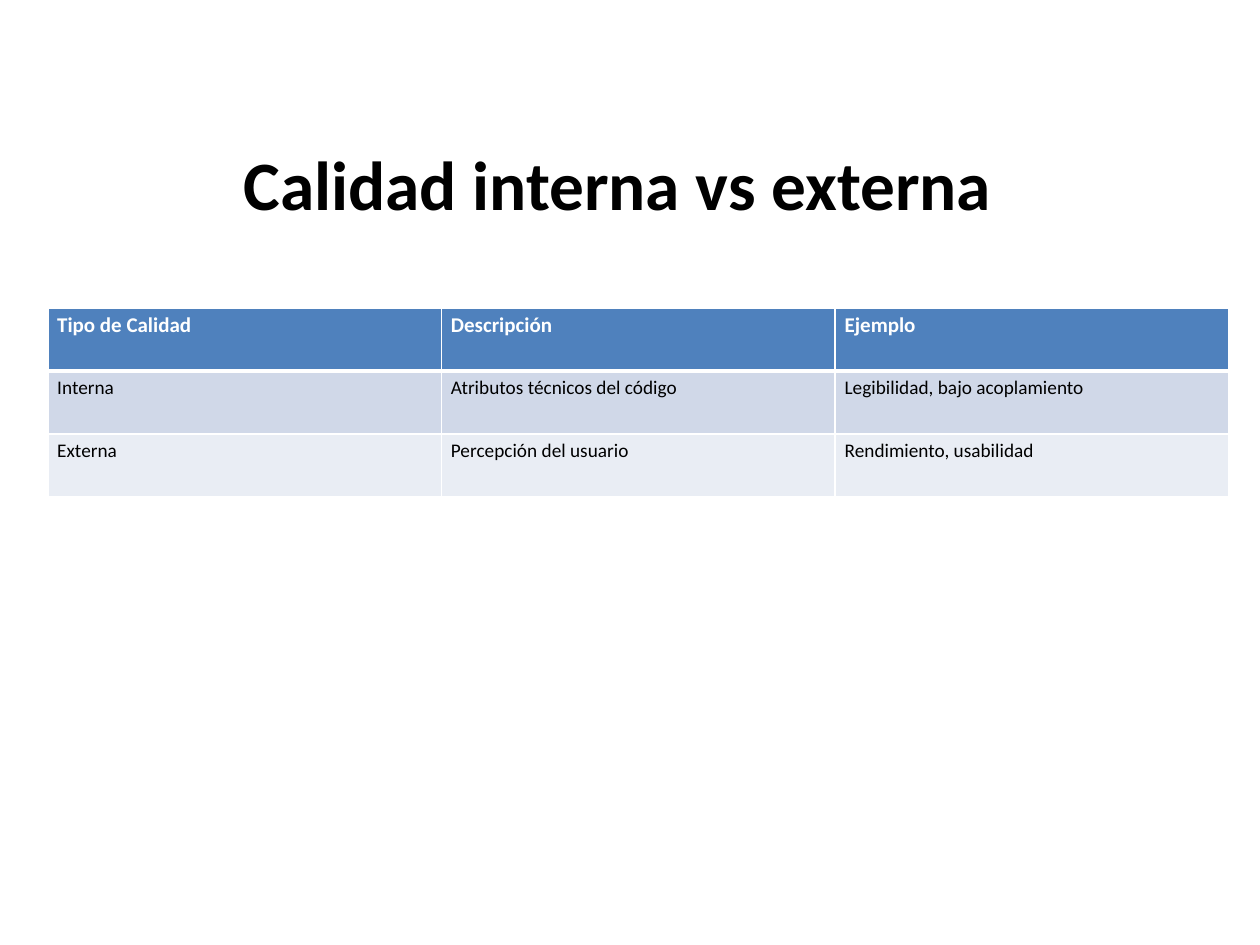
"""Build a slide that compares internal and external quality in a table."""
from dataclasses import dataclass

from lxml import etree
from pptx import Presentation
from pptx.dml.color import RGBColor
from pptx.enum.text import MSO_ANCHOR, MSO_AUTO_SIZE, PP_ALIGN
from pptx.oxml.ns import qn
from pptx.util import Pt

CENTER = PP_ALIGN.CENTER
MIDDLE = MSO_ANCHOR.MIDDLE
NO_AUTOFIT = MSO_AUTO_SIZE.NONE
TITLE_ONLY = 5


@dataclass(frozen=True)
class Theme:
    font: str = "Calibri"
    title_size: float = 39.6
    header_size: float = 12
    body_size: float = 11
    ink: str = "000000"
    white: str = "FFFFFF"
    header_fill: str = "4F81BD"
    row_fills: tuple = ("D0D8E8", "E9EDF4")
    rule: float = 1
    header_rule: float = 3


class SlideBuilder:
    def __init__(self, deck, theme):
        self.theme = theme
        self.slide = deck.slides.add_slide(deck.slide_layouts[TITLE_ONLY])

    def add_run(self, para, text, size, color, bold):
        span = para.add_run()
        span.text = text
        span.font.name = self.theme.font
        span.font.size = Pt(size)
        span.font.bold = bold
        span.font.color.rgb = RGBColor.from_string(color)

    def add_title(self, text, left, top, width, height):
        box = self.slide.shapes.title
        box.left, box.top, box.width, box.height = map(Pt, (left, top, width, height))
        frame = box.text_frame
        frame.auto_size = NO_AUTOFIT
        frame.word_wrap = True
        frame.vertical_anchor = MIDDLE
        para = frame.paragraphs[0]
        para.alignment = CENTER
        self.add_run(para, text, self.theme.title_size, self.theme.ink, True)

    def set_borders(self, cell, top, bottom):
        properties = cell._tc.get_or_add_tcPr()
        widths = {"L": self.theme.rule, "R": self.theme.rule, "T": top, "B": bottom}
        for side, width in widths.items():
            line = etree.SubElement(properties, qn(f"a:ln{side}"), w=str(Pt(width)))
            fill = etree.SubElement(line, qn("a:solidFill"))
            etree.SubElement(fill, qn("a:srgbClr"), val=self.theme.white)

    def fill_cell(self, cell, text, row):
        theme = self.theme
        header = row == 0
        cell.margin_left = cell.margin_right = Pt(5.4)
        cell.margin_top = cell.margin_bottom = Pt(2.7)
        self.set_borders(
            cell,
            top=theme.header_rule if row == 1 else theme.rule,
            bottom=theme.header_rule if header else theme.rule,
        )
        color = theme.header_fill if header else theme.row_fills[(row - 1) % 2]
        cell.fill.solid()
        cell.fill.fore_color.rgb = RGBColor.from_string(color)
        self.add_run(
            cell.text_frame.paragraphs[0],
            text,
            theme.header_size if header else theme.body_size,
            theme.white if header else theme.ink,
            header,
        )

    def add_table(self, rows, left, top, width, height):
        frame = self.slide.shapes.add_table(
            len(rows), len(rows[0]), Pt(left), Pt(top), Pt(width), Pt(height)
        )
        for row, texts in enumerate(rows):
            for column, text in enumerate(texts):
                self.fill_cell(frame.table.cell(row, column), text, row)


def main():
    deck = Presentation()
    deck.slide_width, deck.slide_height = Pt(720), Pt(540)
    page = SlideBuilder(deck, Theme())
    page.add_title("Calidad interna vs externa", 110, 70.5, 486, 67.5)
    quality_rows = [
        ("Tipo de Calidad", "Descripción", "Ejemplo"),
        ("Interna", "Atributos técnicos del código", "Legibilidad, bajo acoplamiento"),
        ("Externa", "Percepción del usuario", "Rendimiento, usabilidad"),
    ]
    page.add_table(quality_rows, 27.3, 176, 675, 108)
    deck.save("out.pptx")


if __name__ == "__main__":
    main()
